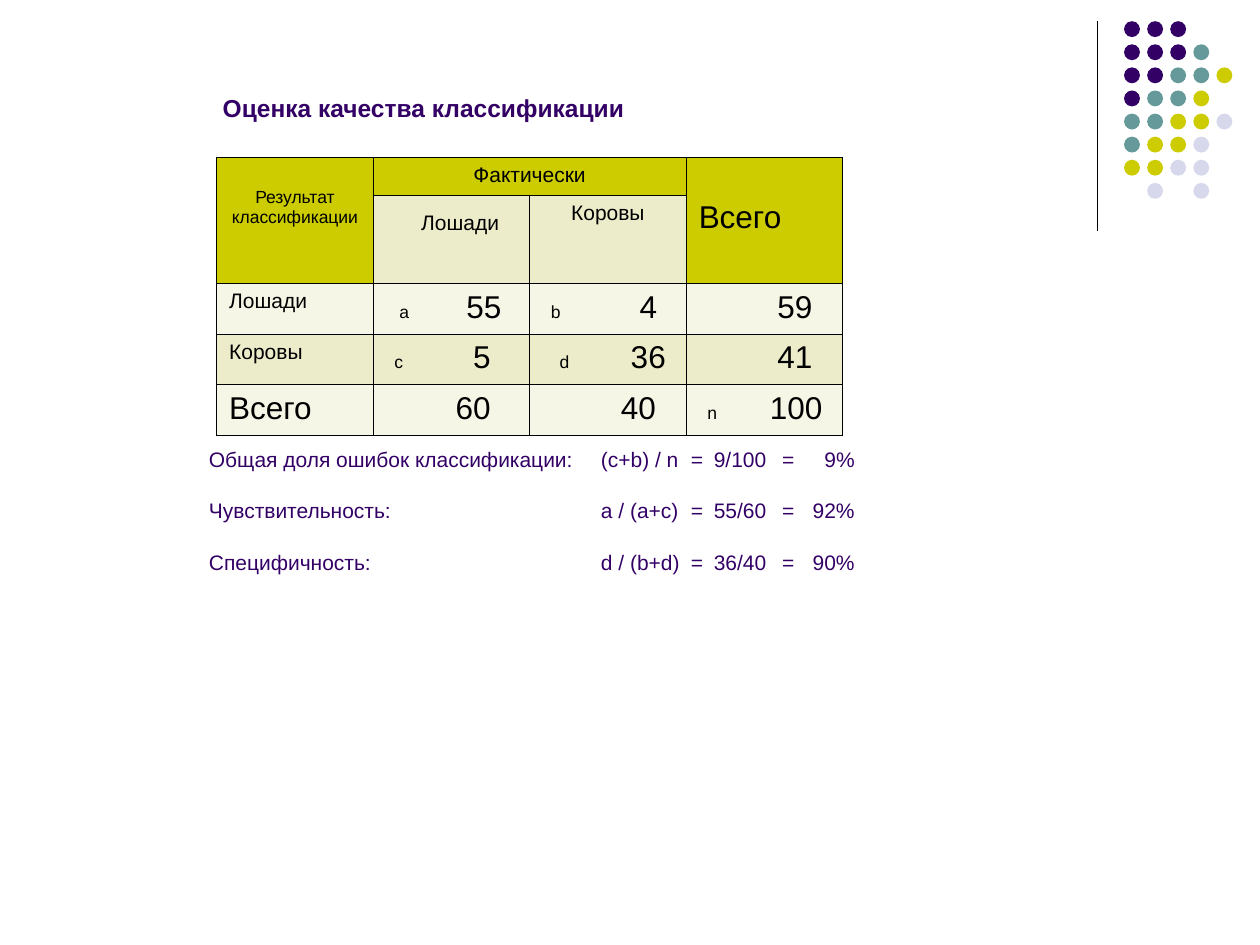
from typing import NamedTuple

from lxml.etree import SubElement
from pptx import Presentation
from pptx.dml.color import RGBColor
from pptx.enum.shapes import MSO_CONNECTOR, MSO_SHAPE
from pptx.enum.text import MSO_ANCHOR, PP_ALIGN
from pptx.oxml.ns import qn
from pptx.util import Pt


class Theme:
    font = "Arial"
    black = RGBColor.from_string("000000")
    purple = RGBColor.from_string("330066")
    teal = RGBColor.from_string("669999")
    yellow = RGBColor.from_string("CCCC00")
    lavender = RGBColor.from_string("D8D8EC")
    band_dark = RGBColor.from_string("ECECCB")
    band_light = RGBColor.from_string("F6F6E7")
    title_size, text_size, number_size, small_size = 14, 12, 18, 10


class Box(NamedTuple):
    left: float
    top: float
    width: float
    height: float


class Entry(NamedTuple):
    """A table cell; number_left is measured from the cell's left edge."""
    text: str
    fill: RGBColor
    size: float = Theme.text_size
    align: PP_ALIGN = PP_ALIGN.LEFT
    left: float = 7.2
    top: float = 3.6
    number: str = ""
    number_left: float = 0


class Metric(NamedTuple):
    name: str
    formula: str
    ratio: str
    result: str


DOT_ROWS = ["PPP", "PPPT", "PPTTY", "PTTY", "TTYYL", "TYYL", "YYLL", " L L"]
DOT_COLORS = {"P": Theme.purple, "T": Theme.teal, "Y": Theme.yellow, "L": Theme.lavender}
DOT_LEFT, DOT_TOP, DOT_PITCH, DOT_SIZE = 642.3, 12.1, 13.2, 9.1

TITLE_BOX = Box(112.3, 33.8, 348.5, 39.6)
TABLE_BOX = Box(123.8, 90, 357.8, 136.8)
METRICS_BOX = Box(112.3, 247.7, 404.6, 84.2)
ROW_HEIGHTS = [21.6, 50.4, 28.8, 28.8, 28.8]
METRIC_TABS = [(224, "l"), (275.4, "l"), (288.5, "l"), (327.5, "l"), (369, "r")]

METRICS = [
    Metric("Общая доля ошибок классификации:", "(c+b) / n", "9/100", "9%"),
    Metric("Чувствительность:", "a / (a+c)", "55/60", "92%"),
    Metric("Специфичность:", "d / (b+d)", "36/40", "90%"),
]

LIGHT, DARK, HEAD = Theme.band_light, Theme.band_dark, Theme.yellow
LARGE, SMALL, CENTER = Theme.number_size, Theme.small_size, PP_ALIGN.CENTER


def total(number: str, left: float, fill: RGBColor) -> Entry:
    return Entry(number, fill, LARGE, left=left)


def count(letter: str, left: float, number: str, number_left: float, fill: RGBColor) -> Entry:
    return Entry(letter, fill, SMALL, left=left, number=number, number_left=number_left)


# None marks a cell covered by a merge
TABLE = [
    [Entry("Результат классификации", HEAD, SMALL, CENTER, top=17.4),
     Entry("Фактически", HEAD, align=CENTER), None,
     Entry("Всего", HEAD, LARGE, top=24.3)],
    [None, Entry("Лошади", DARK, align=CENTER, left=17.2, top=9),
     Entry("Коровы", DARK, align=CENTER), None],
    [Entry("Лошади", LIGHT), count("a", 15, "55", 53.3, LIGHT),
     count("b", 12.2, "4", 62.8, LIGHT), total("59", 52.2, LIGHT)],
    [Entry("Коровы", DARK), count("c", 12.2, "5", 57.2, DARK),
     count("d", 17.2, "36", 57.8, DARK), total("41", 52.2, DARK)],
    [Entry("Всего", LIGHT, LARGE), total("60", 47.2, LIGHT),
     total("40", 52.2, LIGHT), count("n", 12.2, "100", 47.8, LIGHT)],
]
MERGES = [((0, 0), (1, 0)), ((0, 1), (0, 2)), ((0, 3), (1, 3))]


def style_font(font, size: float, color: RGBColor, bold: bool = False) -> None:
    font.name, font.size, font.bold = Theme.font, Pt(size), bold
    font.color.rgb = color


def add_tabs(paragraph, stops: list[tuple[float, str]]) -> None:
    tab_list = SubElement(paragraph._p.get_or_add_pPr(), qn("a:tabLst"))
    for position, align in stops:
        SubElement(tab_list, qn("a:tab"), pos=str(int(Pt(position))), algn=align)


def add_text_frame(slide, box: Box):
    frame = slide.shapes.add_textbox(*map(Pt, box)).text_frame
    frame.word_wrap = True
    frame.vertical_anchor = MSO_ANCHOR.BOTTOM
    return frame


def draw_dots(slide) -> None:
    group = slide.shapes.add_group_shape()
    for row, letters in enumerate(DOT_ROWS):
        for column, letter in enumerate(letters):
            if letter == " ":
                continue
            dot = group.shapes.add_shape(
                MSO_SHAPE.OVAL, Pt(DOT_LEFT + column * DOT_PITCH),
                Pt(DOT_TOP + row * DOT_PITCH), Pt(DOT_SIZE), Pt(DOT_SIZE))
            dot.shadow.inherit = False
            dot.fill.solid()
            dot.fill.fore_color.rgb = DOT_COLORS[letter]
            dot.line.fill.background()


def draw_rule(slide) -> None:
    rule = slide.shapes.add_connector(
        MSO_CONNECTOR.STRAIGHT, Pt(627.1), Pt(12.2), Pt(627.1), Pt(131.8))
    rule.line.color.rgb = Theme.black
    rule.line.width = Pt(0.75)
    SubElement(rule._element.spPr, qn("a:effectLst"))


def draw_borders(cell) -> None:
    properties = cell._tc.get_or_add_tcPr()
    for index, side in enumerate(("a:lnL", "a:lnR", "a:lnT", "a:lnB")):
        line = properties.makeelement(qn(side), {"w": str(int(Pt(0.45)))})
        fill = SubElement(line, qn("a:solidFill"))
        SubElement(fill, qn("a:srgbClr"), val=str(Theme.black))
        properties.insert(index, line)


def fill_cell(cell, entry: Entry) -> None:
    cell.fill.solid()
    cell.fill.fore_color.rgb = entry.fill
    cell.margin_left, cell.margin_top = Pt(entry.left), Pt(entry.top)
    paragraph = cell.text_frame.paragraphs[0]
    paragraph.alignment = entry.align
    if not entry.number:
        paragraph.text = entry.text
        style_font(paragraph.font, entry.size, Theme.black)
        return
    add_tabs(paragraph, [(entry.number_left - entry.left, "l")])
    for text, size in ((entry.text, entry.size), ("\t" + entry.number, LARGE)):
        run = paragraph.add_run()
        run.text = text
        style_font(run.font, size, Theme.black)


def draw_table(slide) -> None:
    table = slide.shapes.add_table(len(TABLE), len(TABLE[0]), *map(Pt, TABLE_BOX)).table
    table.first_row = table.horz_banding = False
    for column in table.columns:
        column.width = Pt(TABLE_BOX.width / len(TABLE[0]))
    for row, height in zip(table.rows, ROW_HEIGHTS):
        row.height = Pt(height)
    for start, end in MERGES:
        table.cell(*start).merge(table.cell(*end))
    for row, entries in enumerate(TABLE):
        for column, entry in enumerate(entries):
            cell = table.cell(row, column)
            fill_cell(cell, entry or Entry("", HEAD))
            draw_borders(cell)


def draw_title(slide) -> None:
    frame = add_text_frame(slide, TITLE_BOX)
    frame.margin_left = Pt(15)
    paragraph = frame.paragraphs[0]
    paragraph.text = "Оценка качества классификации"
    style_font(paragraph.font, Theme.title_size, Theme.purple, bold=True)


def draw_metrics(slide) -> None:
    frame = add_text_frame(slide, METRICS_BOX)
    for index, metric in enumerate(METRICS):
        paragraph = frame.add_paragraph() if index else frame.paragraphs[0]
        add_tabs(paragraph, METRIC_TABS)
        paragraph.text = "\t".join(
            (metric.name, metric.formula, "=", metric.ratio, "=", metric.result))
        if index:
            paragraph.space_before = Pt(15)
        style_font(paragraph.font, Theme.text_size, Theme.purple)


def main() -> None:
    presentation = Presentation()
    presentation.slide_width, presentation.slide_height = Pt(720), Pt(540)
    slide = presentation.slides.add_slide(presentation.slide_layouts[6])
    draw_rule(slide)
    draw_dots(slide)
    draw_title(slide)
    draw_table(slide)
    draw_metrics(slide)
    presentation.save("out.pptx")


if __name__ == "__main__":
    main()
